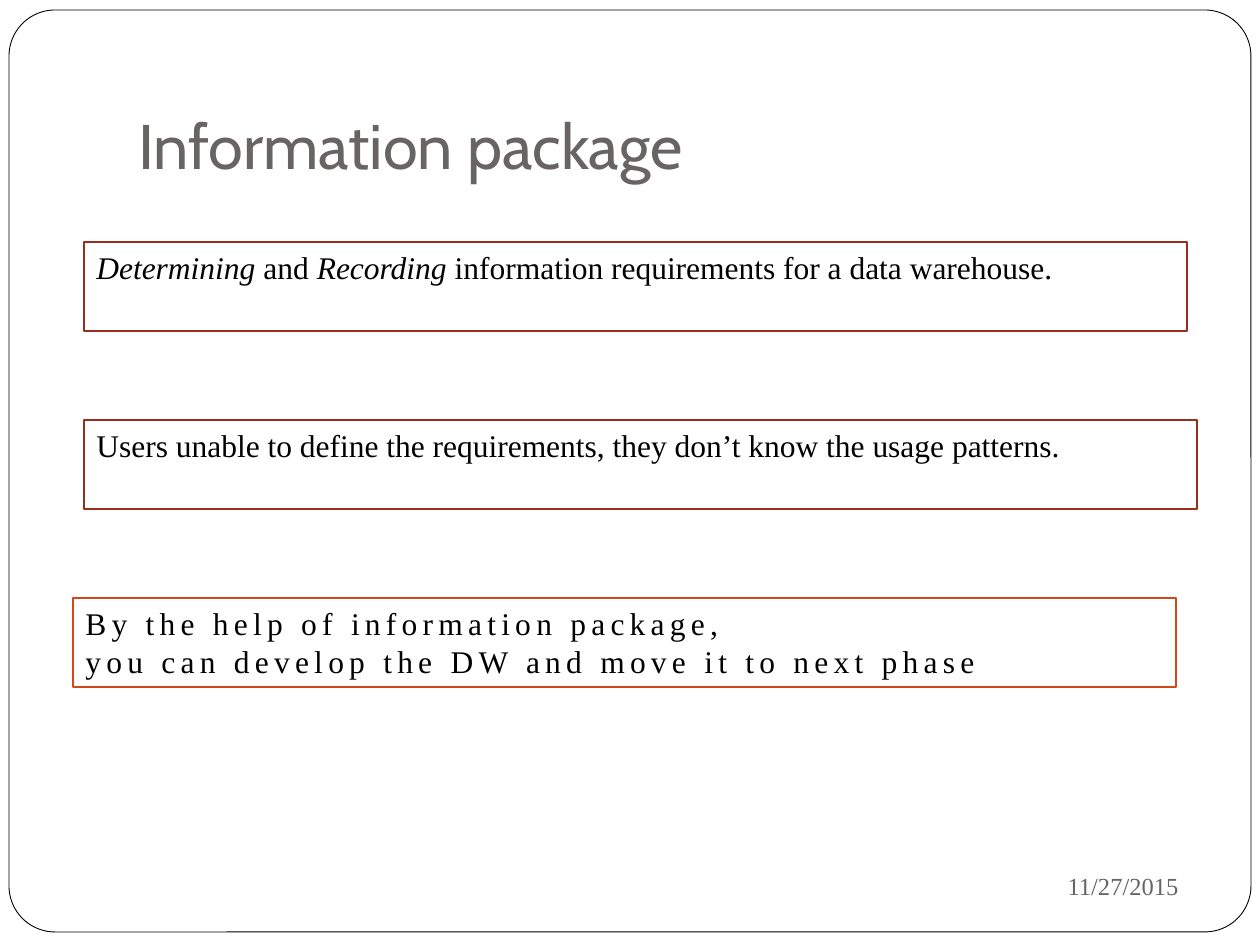
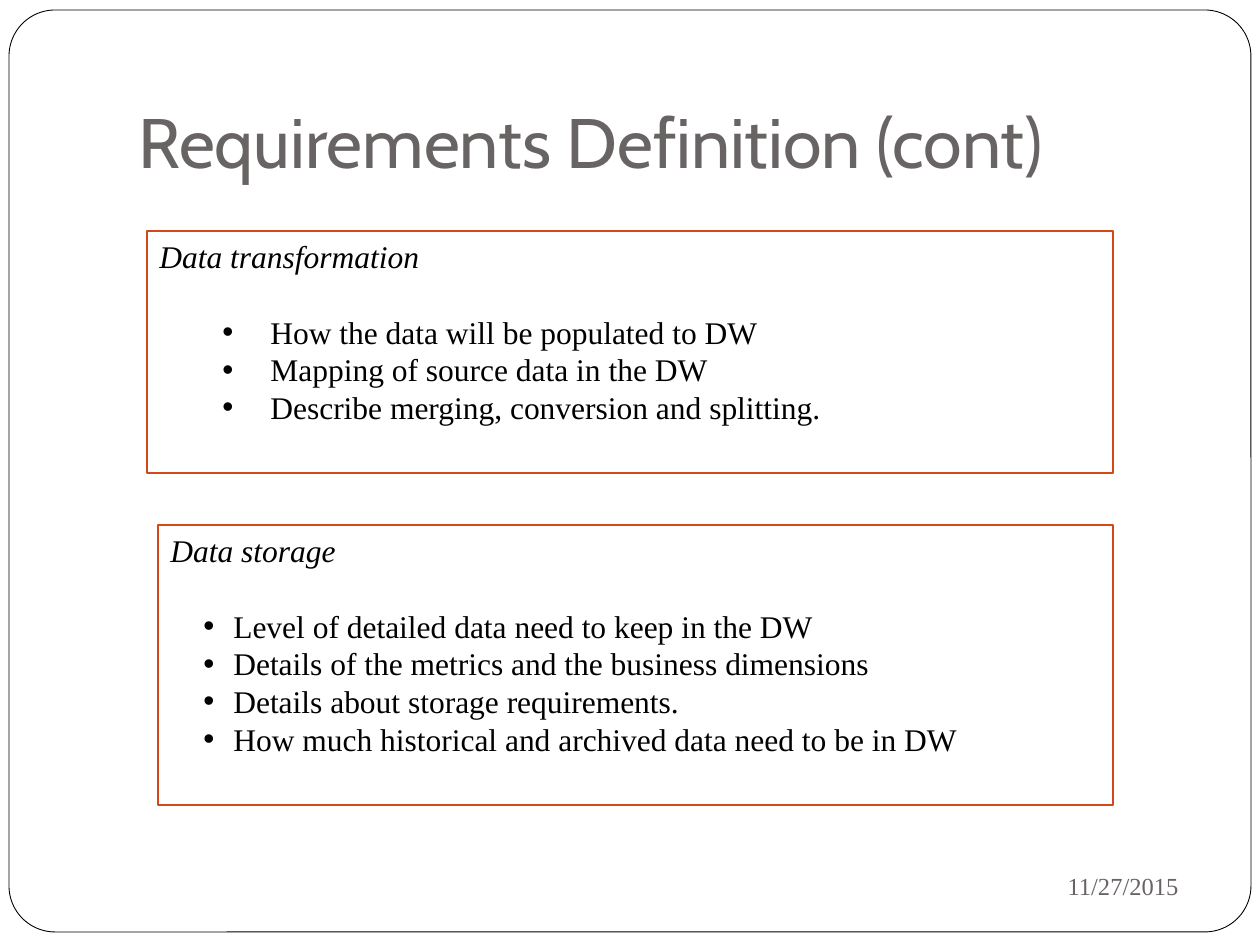
from pptx import Presentation
from pptx.dml.color import RGBColor
from pptx.enum.shapes import MSO_SHAPE as Shape
from pptx.enum.text import MSO_ANCHOR as Anchor, PP_ALIGN as Align
from pptx.oxml.ns import qn
from pptx.util import Emu, Pt
from lxml.etree import SubElement

DATE = "11/27/2015"
GREY, BLACK, WHITE = "696464", "000000", "FFFFFF"
RED, ORANGE = "9B2D1F", "D34817"
HEAD, BODY = "Cabin", "Times New Roman"
LINE = 21.5  # points taken by one line of body text

# Paragraphs are lists of runs; a run is (text, italic).
SLIDES = [
    dict(title="Information package", size=36, boxes=[
        dict(at=(84, 242, 1103, 89), edge=RED, paras=[[
            ("Determining", True), (" and ", False), ("Recording ", True),
            ("information requirements for a data warehouse.", False)]]),
        dict(at=(84, 420, 1113, 89), edge=RED, paras=[[
            ("Users unable to define the requirements, "
             "they don’t know the usage patterns.", False)]]),
        dict(at=(73, 598, 1103, 89), edge=ORANGE, align=Align.JUSTIFY, track=3, paras=[
            [("By the help of information package, ", False)],
            [("you can develop the DW and move it to next phase", False)]]),
    ]),
    dict(title="Requirements Definition (cont)", size=40, boxes=[
        dict(at=(147, 231, 966, 242), edge=ORANGE, paras=[[("Data transformation", True)]],
             indent=(111, 48), points=[
                 "How the data will be populated to DW",
                 "Mapping of source data in the DW",
                 "Describe merging, conversion and splitting."]),
        dict(at=(158, 525, 955, 280), edge=ORANGE, paras=[[("Data storage", True)]],
             indent=(63, 30), points=[
                 "Level of detailed data need to keep in the DW",
                 "Details of the metrics and the business dimensions",
                 "Details about storage requirements.",
                 "How much historical and archived data need to be in DW"]),
    ]),
]


def px(n):
    return Emu(round(n * 914400 / 126))


def tint(code):
    return RGBColor.from_string(code)


def panel(slide, kind, at, edge, width):
    box = slide.shapes.add_shape(kind, *map(px, at))
    box.shadow.inherit = False
    box.fill.solid()
    box.fill.fore_color.rgb = tint(WHITE)
    box.line.color.rgb = tint(edge)
    box.line.width = Pt(width)
    return box


def write(shape, paras, font=BODY, size=18, color=BLACK, align=Align.LEFT,
          anchor=Anchor.TOP, track=0, base=6):
    """Fill a shape with paragraphs of (text, italic) runs; base is the bottom inset."""
    frame = shape.text_frame
    frame.word_wrap = True
    frame.vertical_anchor = anchor
    frame.margin_bottom = px(base)
    for i, runs in enumerate(paras):
        para = frame.add_paragraph() if i else frame.paragraphs[0]
        para.alignment = align
        for text, italic in runs:
            run = para.add_run()
            run.text = text
            run.font.name, run.font.size = font, Pt(size)
            run.font.italic = italic
            run.font.color.rgb = tint(color)
            if track:
                run.font._element.set("spc", str(track * 100))
    return frame.paragraphs


def bullet(para, left, hang):
    props = para._p.get_or_add_pPr()
    props.set("marL", str(px(left)))
    props.set("indent", str(-px(hang)))
    SubElement(props, qn("a:buFont")).set("typeface", "Arial")
    SubElement(props, qn("a:buChar")).set("char", "•")


def label(slide, at, text, **form):
    write(slide.shapes.add_textbox(*map(px, at)), [[(text, False)]], color=GREY, **form)


def base(slide, title, size):
    """Draw what every slide shares: frame, title and date."""
    frame = panel(slide, Shape.ROUNDED_RECTANGLE, (9, 10, 1242, 922), BLACK, 0.5)
    frame.adjustments[0] = 0.05
    label(slide, (126, 38, 1071, 157), title, font=HEAD, size=size,
          anchor=Anchor.BOTTOM, base=13)
    label(slide, (850, 853, 341, 66), DATE, size=14,
          align=Align.RIGHT, anchor=Anchor.MIDDLE)


def card(slide, at, edge, paras, points=(), indent=None, **form):
    box = panel(slide, Shape.RECTANGLE, at, edge, 1)
    items = [[(text, False)] for text in points]
    lines = write(box, paras + items, **form)
    if points:
        lines[0].space_after = Pt(LINE)
        for para in lines[len(paras):]:
            bullet(para, *indent)


def main():
    deck = Presentation()
    deck.slide_width, deck.slide_height = px(1260), px(945)
    for page in SLIDES:
        slide = deck.slides.add_slide(deck.slide_layouts[6])
        base(slide, page["title"], page["size"])
        for box in page["boxes"]:
            card(slide, **box)
    deck.save("out.pptx")


if __name__ == "__main__":
    main()
